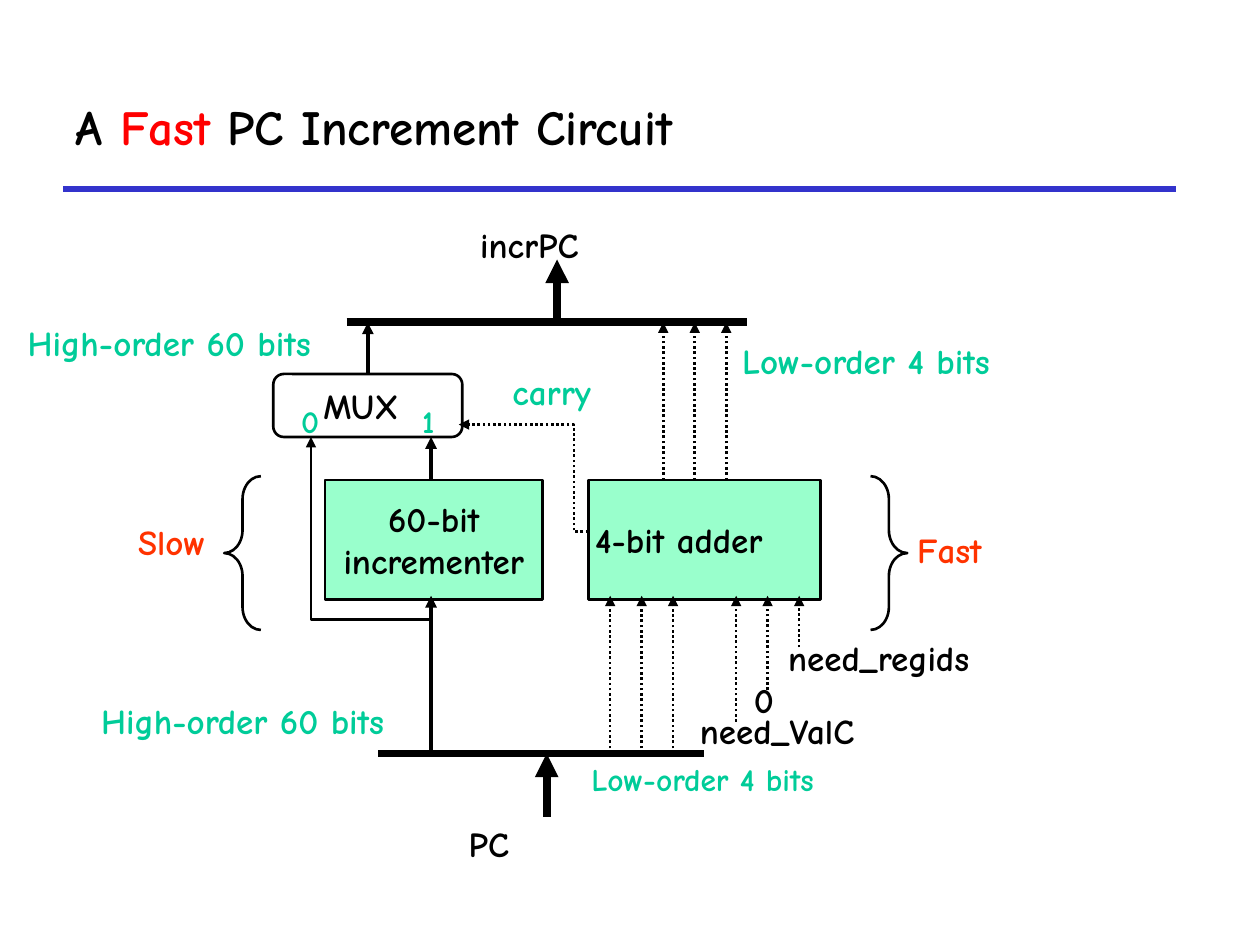
from lxml import etree
from pptx import Presentation
from pptx import util as u
from pptx.dml import color as dml
from pptx.enum import dml as lines, shapes, text
from pptx.oxml import ns

COLORS = {"ink": "000000", "accent": "FF0000", "rule": "3333CC",
          "box": "99FFCC", "note": "00CC99", "speed": "FF3300"}
PAD = 0.13
STEP = 0.635
LEFT, CENTER, RIGHT = (text.PP_ALIGN.LEFT, text.PP_ALIGN.CENTER, text.PP_ALIGN.RIGHT)


def set_attributes(target, values):
    for name, value in values.items():
        setattr(target, name, value)


def rgb(name):
    return dml.RGBColor.from_string(COLORS[name])


def format_font(font, size, color):
    set_attributes(font, {"name": "Comic Neue", "size": u.Pt(size), "bold": True})
    font.color.rgb = rgb(color)


def format_line(shape, width, color="ink", dotted=False, arrow=False):
    shape.line.color.rgb = rgb(color)
    shape.line.width = u.Pt(width)
    if dotted:
        shape.line.dash_style = lines.MSO_LINE.ROUND_DOT
    if arrow:
        outline = shape.line._get_or_add_ln()
        etree.SubElement(outline, ns.qn("a:tailEnd"), type="triangle")


def write_text(shape, content, size=20, color="ink", align=LEFT, wrap=False):
    frame = shape.text_frame
    set_attributes(frame, {"margin_left": u.Cm(PAD), "margin_right": u.Cm(PAD),
                           "margin_top": u.Cm(PAD), "margin_bottom": u.Cm(PAD),
                           "word_wrap": wrap})
    frame.text = content
    for paragraph in frame.paragraphs:
        paragraph.alignment = align
        format_font(paragraph.font, size, color)
    return frame


def add_label(slide, content, left, top, width, height=1.12, **style):
    shape = slide.shapes.add_textbox(u.Cm(left), u.Cm(top), u.Cm(width), u.Cm(height))
    frame = write_text(shape, content, **style)
    frame.auto_size = text.MSO_AUTO_SIZE.SHAPE_TO_FIT_TEXT


def add_line(slide, start, end, width, **style):
    points = [u.Cm(value) for value in (*start, *end)]
    connector = slide.shapes.add_connector(shapes.MSO_CONNECTOR.STRAIGHT, *points)
    format_line(connector, width, **style)
    etree.SubElement(connector._element.spPr, ns.qn("a:effectLst"))


def add_path(slide, points, **style):
    corners = [(u.Cm(x), u.Cm(y)) for x, y in points]
    builder = slide.shapes.build_freeform(*corners[0])
    builder.add_line_segments(corners[1:], close=False)
    shape = builder.convert_to_shape()
    shape.shadow.inherit = False
    shape.fill.background()
    format_line(shape, 1.5, arrow=True, **style)


def add_outline(slide, kind, box, fill=None):
    shape = slide.shapes.add_shape(kind, *[u.Cm(value) for value in box])
    shape.shadow.inherit = False
    if fill:
        shape.fill.solid()
        shape.fill.fore_color.rgb = rgb(fill)
    else:
        shape.fill.background()
    format_line(shape, 1.5)
    shape.text_frame.vertical_anchor = text.MSO_ANCHOR.MIDDLE
    return shape


def fill_title(slide, box):
    left, top, width, height = box
    title = slide.shapes.title
    set_attributes(title, dict(zip(("left", "top", "width", "height"), map(u.Cm, box))))
    title.text_frame.vertical_anchor = text.MSO_ANCHOR.MIDDLE
    paragraph = title.text_frame.paragraphs[0]
    paragraph.alignment = LEFT
    for words, color in (("A ", "ink"), ("Fast", "accent"),
                         (" PC Increment Circuit", "ink")):
        run = paragraph.add_run()
        run.text = words
        format_font(run.font, 28, color)
    add_line(slide, (left, top + height), (left + width, top + height), 3, color="rule")


def draw_adder(slide, box):
    left, top, width, height = box
    add_path(slide, [(left + 0.84, top + 1.04), (left - 0.3, top + 1.04),
                     (left - 0.3, top - 1.12), (left - 2.62, top - 1.12)], dotted=True)
    shape = add_outline(slide, shapes.MSO_SHAPE.RECTANGLE, box, "box")
    write_text(shape, "4-bit adder")
    bottom = top + height
    for position, length in ((0, 3.18), (1, 3.18), (2, 3.18), (4, 2.54), (5, 1.9), (6, 1.04)):
        x = left + 0.43 + position * STEP
        add_line(slide, (x, bottom - 0.08 + length), (x, bottom - 0.08), 1.5,
                 dotted=True, arrow=True)
    for position in range(3):
        x = left + 1.5 + position * STEP
        add_line(slide, (x, top), (x, top - 3.18), 1.5, dotted=True, arrow=True)
    add_label(slide, "need_ValC", left + 2.11, bottom + 2.08, 3.81)
    add_label(slide, "need_regids", left + 3.89, bottom + 0.61, 4.37)
    add_label(slide, "0", left + 3.2, bottom + 1.45, 0.69)
    add_label(slide, "carry", left - 1.67, top - 2.34, 2.08, color="note")


def draw_incrementer(slide, box):
    left, top, width, height = box
    shape = add_outline(slide, shapes.MSO_SHAPE.RECTANGLE, box, "box")
    write_text(shape, "60-bit\nincrementer", align=CENTER)
    x, bottom = left + 2.14, top + height
    add_line(slide, (x, bottom + 3.1), (x, bottom - 0.08), 2.25, arrow=True)
    add_line(slide, (x, top), (x, top - 0.87), 2.25, arrow=True)
    bypass = x - 2.42
    add_path(slide, [(x, bottom + 0.4), (bypass, bottom + 0.4), (bypass, top - 0.87)])


def draw_mux(slide, box):
    left, top, width, height = box
    shape = add_outline(slide, shapes.MSO_SHAPE.ROUNDED_RECTANGLE, box)
    frame = write_text(shape, "MUX")
    frame.margin_left = u.Cm(0.95)
    add_line(slide, (left + width / 2, top), (left + width / 2, top - 1.04), 2.25, arrow=True)
    for digit, offset in (("0", 0.43), ("1", 2.87)):
        add_label(slide, digit, left + offset, top + 0.43, 0.66, 1.02, size=18, color="note")


def draw_bus(slide, box, arrow_x, arrow_y, name, name_x, name_y, notes):
    left, top, width, _ = box
    add_line(slide, (left, top), (left + width, top), 4.5)
    add_line(slide, (left + arrow_x, top + arrow_y[0]),
             (left + arrow_x, top + arrow_y[1]), 4.5, arrow=True)
    add_label(slide, name, left + name_x, top + name_y, 3.4, wrap=True)
    for content, x, y, note_width, size in notes:
        add_label(slide, content, left + x, top + y, note_width, size=size, color="note")


def draw_speed(slide, box, brace, content, label_x, label_y, align):
    left, top, _, _ = box
    shape = add_outline(slide, brace, box)
    shape.adjustments[0] = 0.625
    add_label(slide, content, left + label_x, top + label_y, 2.16,
              color="speed", align=align, wrap=True)


def main():
    presentation = Presentation()
    set_attributes(presentation, {"slide_width": u.Cm(25.4), "slide_height": u.Cm(19.05)})
    slide = presentation.slides.add_slide(presentation.slide_layouts[5])
    fill_title(slide, (1.27, 1.27, 22.43, 2.54))
    draw_adder(slide, (11.87, 9.68, 4.67, 2.41))
    draw_incrementer(slide, (6.55, 9.68, 4.39, 2.41))
    draw_mux(slide, (5.51, 7.54, 3.81, 1.27))
    draw_bus(slide, (7.62, 15.19, 6.58, 0), 3.4, (1.27, 0), "PC", 1.7, 1.27,
             [("High-order 60 bits", -5.71, -1.22, 6.91, 20),
              ("Low-order 4 bits", 4.17, 0, 5.59, 18)])
    draw_bus(slide, (6.99, 6.5, 8.07, 0), 4.24, (0, -1.27), "incrPC", 2.56, -2.13,
             [("High-order 60 bits", -6.56, -0.15, 6.91, 20),
              ("Low-order 4 bits", 7.84, 0.21, 6.17, 20)])
    draw_speed(slide, (4.52, 9.6, 0.74, 3.1), shapes.MSO_SHAPE.LEFT_BRACE,
               "Slow", -2.41, 0.76, RIGHT)
    draw_speed(slide, (17.55, 9.6, 0.74, 3.1), shapes.MSO_SHAPE.RIGHT_BRACE,
               "Fast", 0.81, 0.92, LEFT)
    presentation.save("out.pptx")


if __name__ == "__main__":
    main()
